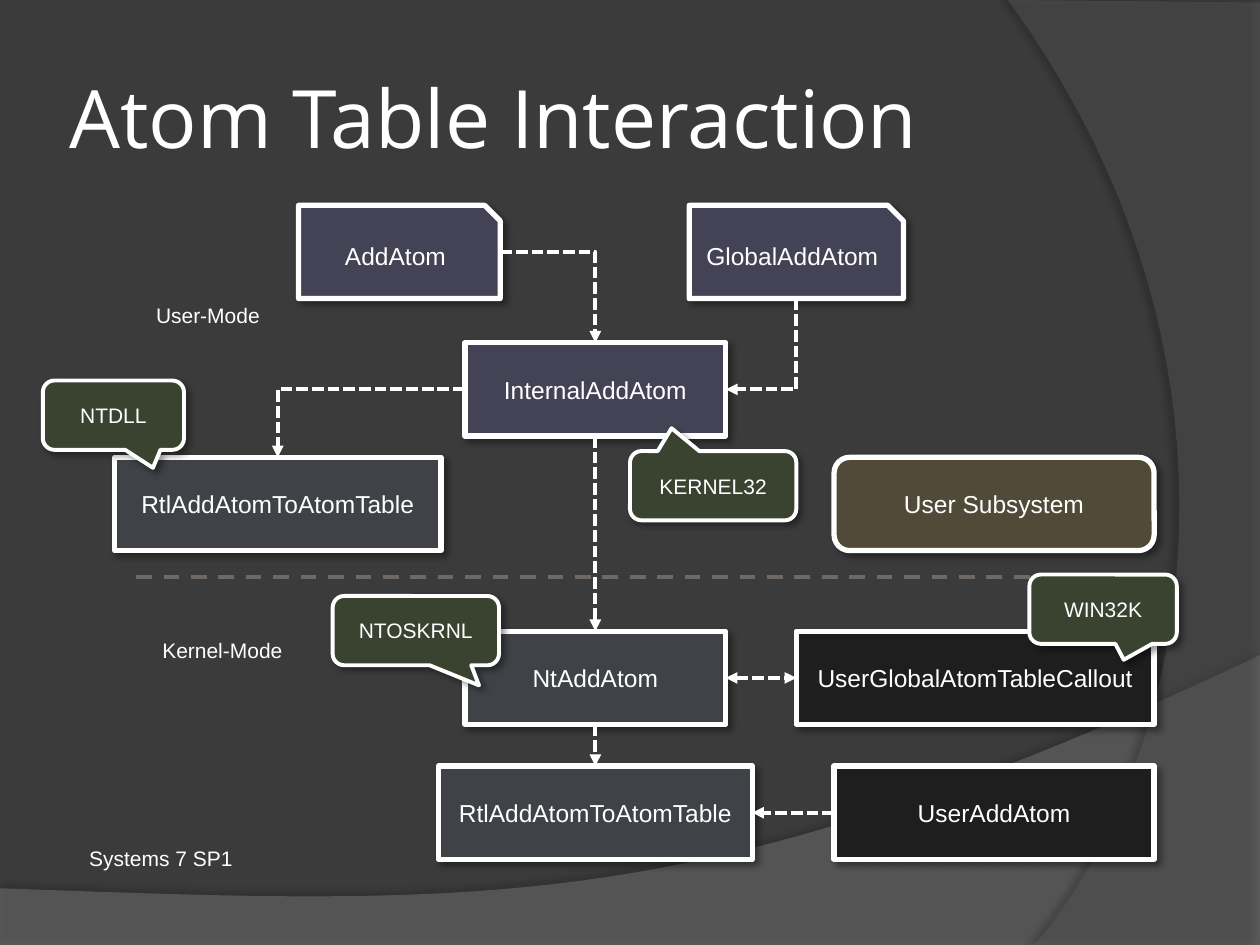
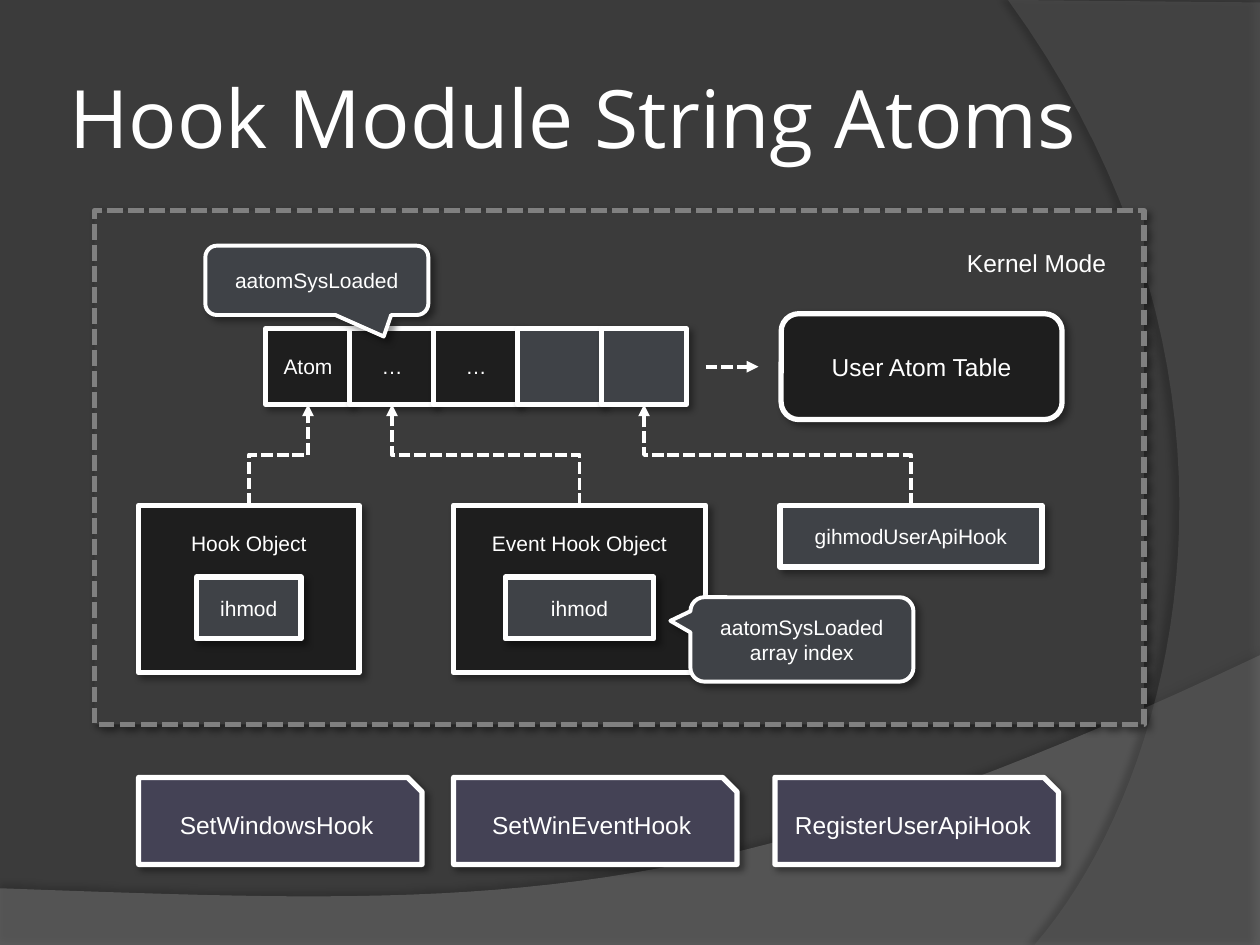
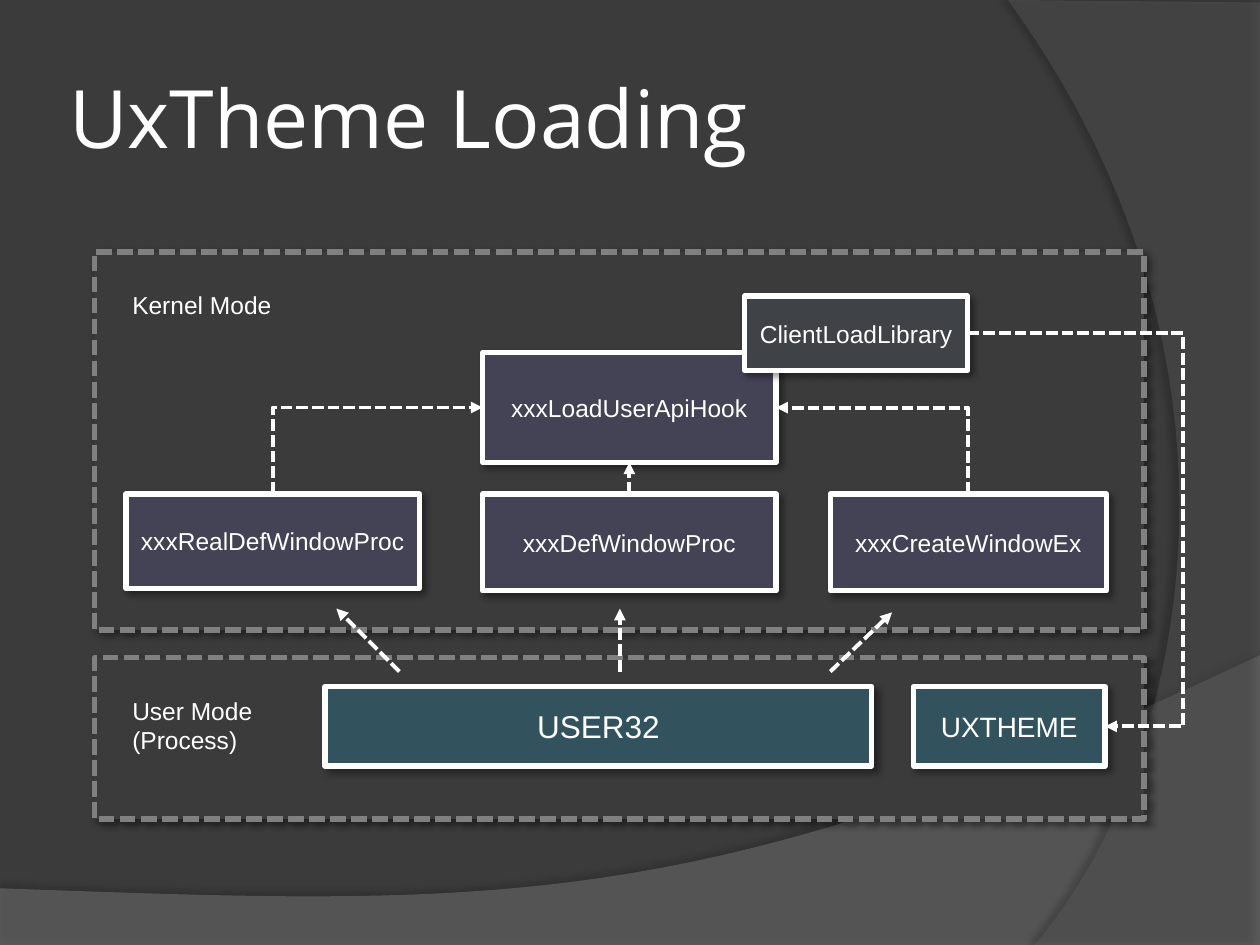
from dataclasses import dataclass

from lxml import etree
from pptx import Presentation
from pptx.dml.color import RGBColor
from pptx.enum.dml import MSO_LINE
from pptx.enum.shapes import MSO_CONNECTOR, MSO_SHAPE
from pptx.enum.text import MSO_ANCHOR, MSO_AUTO_SIZE, PP_ALIGN
from pptx.oxml.ns import qn
from pptx.util import Inches, Pt

RECT, ROUND = MSO_SHAPE.RECTANGLE, MSO_SHAPE.ROUNDED_RECTANGLE
SNIP, BUBBLE = MSO_SHAPE.SNIP_1_RECTANGLE, MSO_SHAPE.ROUNDED_RECTANGULAR_CALLOUT
STRAIGHT, ELBOW = MSO_CONNECTOR.STRAIGHT, MSO_CONNECTOR.ELBOW
LEFT, CENTER, RIGHT = PP_ALIGN.LEFT, PP_ALIGN.CENTER, PP_ALIGN.RIGHT
TOP, MIDDLE = MSO_ANCHOR.TOP, MSO_ANCHOR.MIDDLE
DASH, DOT = MSO_LINE.DASH, MSO_LINE.SQUARE_DOT
N, W, S, E = range(4)  # connection sites of a rectangle


@dataclass(frozen=True)
class Theme:
    back: str = "3B3B3B"
    white: str = "FFFFFF"
    grey: str = "808080"
    rule: str = "6E6964"
    violet: str = "444255"
    slate: str = "3F4247"
    black: str = "1E1E1E"
    green: str = "3A4230"
    brown: str = "514A38"
    teal: str = "32525D"
    wave: str = "7F7F7F"
    arc: str = "5E5E5E"
    head: str = "Open Sans"
    body: str = "Arial"
    title: float = 46
    large: float = 18
    mid: float = 16
    text: float = 14
    small: float = 12
    thick: float = 3
    thin: float = 2.25


T = Theme()


def rgb(code):
    return RGBColor.from_string(code)


def write(shape, text, size=T.text, font=T.body, align=CENTER, anchor=MIDDLE,
          inset=None, wrap=True):
    """Fill a shape with text, one paragraph per line."""
    frame = shape.text_frame
    frame.text = text
    frame.auto_size = MSO_AUTO_SIZE.NONE
    frame.word_wrap = wrap
    frame.vertical_anchor = anchor
    if inset is not None:
        frame.margin_left = frame.margin_right = Inches(inset)
        frame.margin_top = frame.margin_bottom = Inches(inset)
    for para in frame.paragraphs:
        para.alignment = align
        para.font.size, para.font.name = Pt(size), font
        para.font.color.rgb = rgb(T.white)


def shade(shape, alpha=40, dist=3, angle=45):
    """Give a shape a soft outer shadow."""
    shape.shadow.inherit = False
    effects = shape._element.spPr.find(qn("a:effectLst"))
    outer = etree.SubElement(effects, qn("a:outerShdw"), blurRad=str(Pt(4)),
                             dist=str(Pt(dist)), dir=str(angle * 60000),
                             algn="ctr", rotWithShape="0")
    color = etree.SubElement(outer, qn("a:srgbClr"), val="000000")
    etree.SubElement(color, qn("a:alpha"), val=str(alpha * 1000))


def curve(p0, p1, p2, p3, steps=40):
    """Points along a cubic Bezier curve."""
    for i in range(steps + 1):
        t = i / steps
        u = 1 - t
        yield tuple(u**3 * a + 3 * u * u * t * b + 3 * u * t * t * c + t**3 * d
                    for a, b, c, d in zip(p0, p1, p2, p3))


class Deck:
    def __init__(self):
        self.prs = Presentation()
        self.prs.slide_width, self.prs.slide_height = Inches(10), Inches(7.5)
        self.master = self.prs.slide_master
        fill = self.master.background.fill
        fill.solid()
        fill.fore_color.rgb = rgb(T.back)
        self.slide = None

    def page(self, text):
        self.slide = self.prs.slides.add_slide(self.prs.slide_layouts[5])
        title = self.slide.shapes.title
        title.left, title.top = Inches(0.5), Inches(0.3)
        title.width, title.height = Inches(8.17), Inches(1.25)
        write(title, text, size=T.title, font=T.head, align=LEFT, inset=0.05)

    def band(self, points, color, solid, rank, **shadow):
        """Draw a translucent backdrop and move it to the master."""
        first, *rest = [(Inches(x), Inches(y)) for x, y in points]
        pen = self.slide.shapes.build_freeform(*first)
        pen.add_line_segments(rest)
        shape = pen.convert_to_shape()
        shape.fill.solid()
        shape.fill.fore_color.rgb = rgb(color)
        tint = next(shape._element.spPr.iter(qn("a:srgbClr")))
        etree.SubElement(tint, qn("a:alpha"), val=str(solid * 1000))
        shape.line.fill.background()
        shade(shape, **shadow)
        next(shape._element.iter(qn("p:cNvPr"))).set("id", str(90 + rank))
        self.master.shapes._spTree.insert(2 + rank, shape._element)

    def box(self, at, text="", fill=T.violet, kind=RECT, line=T.white,
            width=T.thick, dash=None, **style):
        shape = self.slide.shapes.add_shape(kind, *map(Inches, at))
        shape.fill.solid()
        shape.fill.fore_color.rgb = rgb(fill)
        shape.line.color.rgb = rgb(line)
        shape.line.width = Pt(width)
        if dash:
            shape.line.dash_style = dash
        shade(shape)
        if text:
            write(shape, text, **style)
        return shape

    def frame(self, top, high, text, align=LEFT):
        self.box((0.75, top, 8.33, high), text, T.back, line=T.grey, dash=DOT,
                 align=align, anchor=TOP, inset=0.3)

    def note(self, at, text, tip, fill=T.green):
        shape = self.box(at, text, fill, BUBBLE, width=T.thin, size=T.small)
        shape.adjustments[0], shape.adjustments[1] = tip

    def label(self, at, text):
        shape = self.slide.shapes.add_textbox(*map(Inches, at))
        write(shape, text, size=T.small, align=LEFT, anchor=TOP, wrap=False)

    def pen(self, conn, color=T.white, dash=DOT, head=False, tail=True):
        conn.line.color.rgb = rgb(color)
        conn.line.width = Pt(T.thin)
        conn.line.dash_style = dash
        props = conn._element.spPr
        for tag, shown in (("a:headEnd", head), ("a:tailEnd", tail)):
            if shown:
                etree.SubElement(props.find(qn("a:ln")), qn(tag), type="triangle")
        etree.SubElement(props, qn("a:effectLst"))

    def line(self, start, end, **style):
        ends = map(Inches, (*start, *end))
        self.pen(self.slide.shapes.add_connector(STRAIGHT, *ends), **style)

    def link(self, one, side, two, goal, kind=STRAIGHT, **style):
        conn = self.slide.shapes.add_connector(kind, 0, 0, 0, 0)
        conn.begin_connect(one, side)
        conn.end_connect(two, goal)
        self.pen(conn, **style)
        return conn

    def bend(self, one, side, two, goal, reach=None):
        """Join two shapes by an elbow that leaves the first at its side."""
        conn = self.link(one, side, two, goal, kind=ELBOW)
        props = conn._element.spPr
        geom = props.find(qn("a:prstGeom"))
        if (side - goal) % 2:
            geom.set("prst", "bentConnector2")
        if reach:
            guides = geom.find(qn("a:avLst"))
            etree.SubElement(guides, qn("a:gd"), name="adj1",
                             fmla=f"val {round(reach * 100000)}")
        # An elbow that starts up or down is a sideways one turned by 90 degrees
        if side in (N, S):
            x1, y1, x2, y2 = conn.begin_x, conn.begin_y, conn.end_x, conn.end_y
            midx, midy = (x1 + x2) // 2, (y1 + y2) // 2
            dx, dy = (x2 - x1) // 2, (y2 - y1) // 2
            conn.begin_x, conn.begin_y = midx - dy, midy + dx
            conn.end_x, conn.end_y = midx + dy, midy - dx
            props.find(qn("a:xfrm")).set("rot", str(90 * 60000))
        # A snipped rectangle counts its sites from the right, clockwise
        if one.auto_shape_type == SNIP:
            next(conn._element.iter(qn("a:stCxn"))).set("idx", str(3 - side))


def bands(deck):
    wave = [(0, 7.51), (10, 7.51),
            *curve((10, 5.2), (5.59, 7.29), (3.91, 7.19), (0, 7.05))]
    arc = [(10, 0.02), (10, 7.5),
           *curve((8.21, 7.5), (9.35, 6.19), (10.18, 3), (8, 0))]
    deck.band(wave, T.wave, 45, 0, alpha=35, dist=3.5, angle=270)
    deck.band(arc, T.arc, 40, 1, alpha=45, dist=4, angle=180)


def atoms(deck):
    deck.page("Atom Table Interaction")
    bands(deck)

    # Mode border and labels
    deck.line((1.08, 4.58), (9.17, 4.58), color=T.rule, dash=DASH, tail=False)
    deck.label((1.19, 5.01, 1.16, 0.3), "Kernel-Mode")
    deck.label((1.14, 2.35, 1.03, 0.3), "User-Mode")
    deck.label((0.61, 6.66, 1.39, 0.3), "Systems 7 SP1")

    # Calls
    high = 0.74
    add = deck.box((2.37, 1.63, 1.6, high), "AddAtom", kind=SNIP)
    glob = deck.box((5.47, 1.63, 1.7, high), "GlobalAddAtom", kind=SNIP)
    inner = deck.box((3.69, 2.72, 2.07, high), "InternalAddAtom")
    rtl = deck.box((0.91, 3.63, 2.59, high), "RtlAddAtomToAtomTable", T.slate)
    native = deck.box((3.69, 5.01, 2.07, high), "NtAddAtom", T.slate)
    table = deck.box((3.48, 6.08, 2.49, high), "RtlAddAtomToAtomTable", T.slate)
    call = deck.box((6.32, 5.01, 2.84, high), "UserGlobalAtomTableCallout", T.black)
    user = deck.box((6.62, 6.08, 2.54, high), "UserAddAtom", T.black)
    deck.box((6.62, 3.63, 2.54, high), "User Subsystem", T.brown, ROUND)

    # Flow
    deck.bend(add, E, inner, N)
    deck.bend(glob, S, inner, E)
    deck.bend(inner, W, rtl, N)
    deck.link(inner, S, native, N)
    deck.link(native, S, table, N)
    deck.link(native, E, call, W, head=True)
    deck.link(user, W, table, E)

    # Module names
    for left, top, wide, text, tip in (
            (0.34, 3.02, 1.12, "NTDLL", (0.28, 0.76)),
            (5, 3.58, 1.32, "KERNEL32", (-0.25, -0.83)),
            (2.64, 4.73, 1.32, "NTOSKRNL", (0.38, 0.79)),
            (8.17, 4.56, 1.17, "WIN32K", (0.14, 0.73))):
        deck.note((left, top, wide, 0.55), text, tip)


def hooks(deck):
    deck.page("Hook Module String Atoms")
    deck.frame(1.67, 4.08, "Kernel Mode", RIGHT)

    # Hook calls
    for left, text in ((1.1, "SetWindowsHook"), (3.6, "SetWinEventHook"),
                       (6.15, "RegisterUserApiHook")):
        deck.box((left, 6.17, 2.25, 0.69), text, kind=SNIP)

    # Hook objects, each with its index field
    def hook(left, wide, text, field, size):
        shape = deck.box((left, 4.01, wide, 1.33), text, T.black, size=T.small,
                         anchor=TOP, inset=0.2)
        deck.box((field, 4.58, size, 0.49), "ihmod", T.slate, size=T.small)
        return shape

    plain = hook(1.1, 1.75, "Hook Object", 1.56, 0.83)
    event = hook(3.6, 2, "Event Hook Object", 4.01, 1.18)
    api = deck.box((6.19, 4.01, 2.08, 0.49), "gihmodUserApiHook", T.slate,
                   size=T.small)

    # Atom array
    cells = [deck.box((2.11 + i * 2 / 3, 2.61, 0.67, 0.6), text,
                      T.black if text else T.slate, size=T.small)
             for i, text in enumerate(("Atom", "…", "…", "", ""))]
    deck.box((6.2, 2.49, 2.23, 0.84), "User Atom Table", T.black, ROUND)
    deck.note((1.63, 1.95, 1.77, 0.55), "aatomSysLoaded", (0.3, 0.81), T.slate)

    # Flow
    deck.line((5.6, 2.91), (6.02, 2.91))
    for shape, cell in ((plain, 0), (event, 1), (api, 4)):
        deck.bend(shape, N, cells[cell], S)
    deck.note((5.48, 4.74, 1.77, 0.67), "aatomSysLoaded array index",
              (-0.59, -0.22), T.slate)


def loading(deck):
    deck.page("UxTheme Loading")
    deck.frame(5.22, 1.28, "User Mode\n(Process)")
    deck.frame(2, 3, "Kernel Mode")

    # Modules and procedures
    deck.box((2.58, 5.45, 4.34, 0.63), "USER32", T.teal, size=T.large)
    load = deck.box((3.83, 2.8, 2.33, 0.87), "xxxLoadUserApiHook")
    make = deck.box((6.59, 3.92, 2.19, 0.77), "xxxCreateWindowEx")
    proc = deck.box((3.83, 3.92, 2.33, 0.77), "xxxDefWindowProc")
    real = deck.box((1, 3.92, 2.33, 0.75), "xxxRealDefWindowProc")
    theme = deck.box((7.25, 5.45, 1.52, 0.63), "UXTHEME", T.teal, size=T.mid)
    client = deck.box((5.91, 2.35, 1.77, 0.59), "ClientLoadLibrary", T.slate)

    # Flow
    deck.bend(client, E, theme, E, reach=1.57)
    deck.link(proc, N, load, S)
    deck.bend(real, N, load, W)
    deck.bend(make, N, load, E)
    for left, right, top in ((3.17, 2.67, 4.83), (4.92, 4.92, 4.83),
                             (6.59, 7.08, 4.86)):
        deck.line((left, 5.33), (right, top))


def main():
    deck = Deck()
    atoms(deck)
    hooks(deck)
    loading(deck)
    deck.prs.save("out.pptx")


if __name__ == "__main__":
    main()
